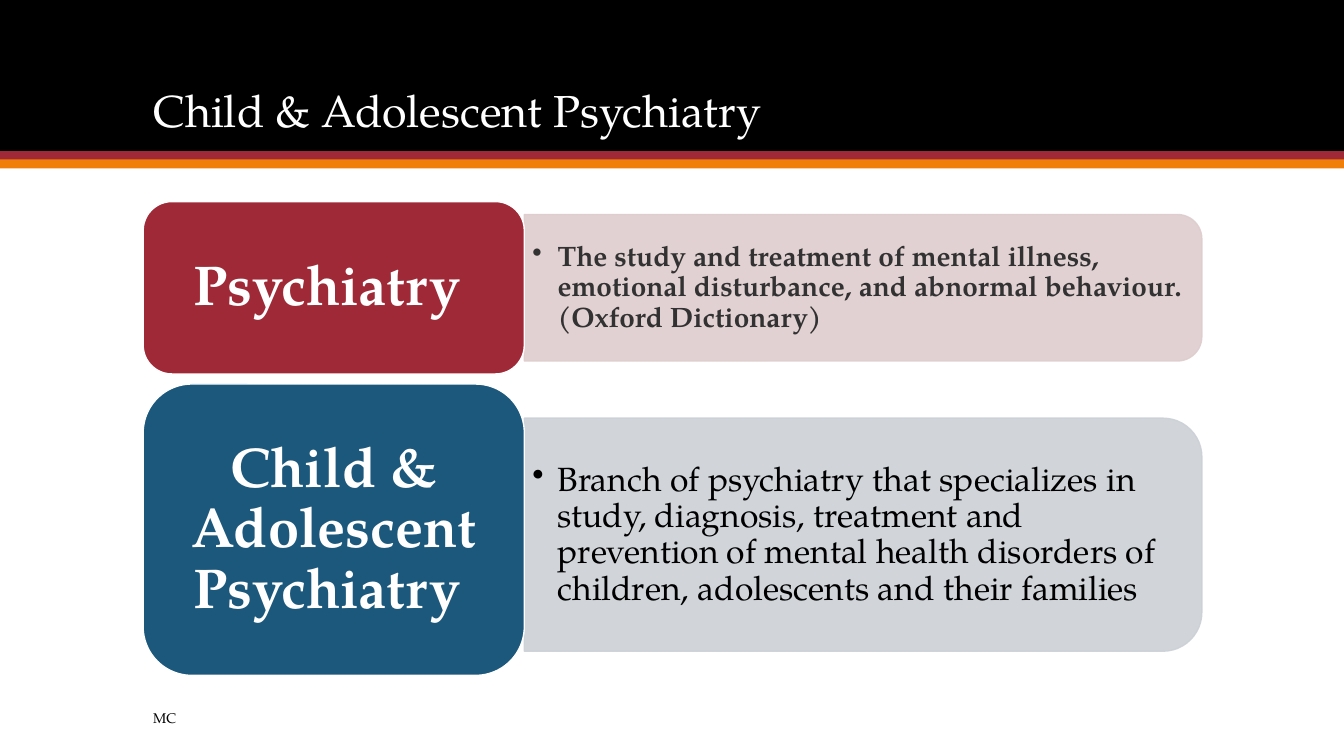
import pptx
import pptx.util
import pptx.dml.color
import pptx.enum.shapes
import pptx.enum.text
import pptx.oxml
from pptx.oxml.ns import qn

W, H = 13.33, 7.5
LEFT, WIDTH = 1.42, 10.5
FONT = "TeX Gyre Pagella"
SHAPE = pptx.enum.shapes.MSO_SHAPE
ALIGN = pptx.enum.text.PP_ALIGN
ANCHOR = pptx.enum.text.MSO_ANCHOR
ROWS = [
    dict(top=2, height=1.71, label="Psychiatry ", label_color="9F2936",
         text="The study and treatment of mental illness, emotional disturbance, "
              "and abnormal behaviour.\v(Oxford Dictionary)",
         panel_color="DFCDCE", share=0.85, shift=0, inset=0.07,
         style=dict(size=20, color="323232", bold=True)),
    dict(top=3.81, height=2.89, label="Child & Adolescent Psychiatry ", label_color="1B587C",
         text="Branch of psychiatry that specializes in study, diagnosis, treatment "
              "and prevention of mental health disorders of children, adolescents "
              "and their families",
         panel_color="CCD1D7", share=0.8, shift=0.05, inset=0.11,
         style=dict(size=24, color="000000")),
]


def rgb(value):
    """Return a colour from a hex string."""
    return pptx.dml.color.RGBColor.from_string(value)


def inches(*values):
    """Return lengths in inches."""
    return [pptx.util.Inches(v) for v in values]


def write(sp, text, size=18, color="000000", bold=False, align=ALIGN.LEFT,
          anchor=ANCHOR.MIDDLE, insets=(0.1, 0.05), spacing=0.9, bullet=False):
    """Write one formatted paragraph into a shape."""
    tf = sp.text_frame
    tf.word_wrap = True
    tf.auto_size = pptx.enum.text.MSO_AUTO_SIZE.NONE
    tf.vertical_anchor = anchor
    tf.margin_left = tf.margin_right = pptx.util.Inches(insets[0])
    tf.margin_top = tf.margin_bottom = pptx.util.Inches(insets[1])
    p = tf.paragraphs[0]
    p.text = text
    p.alignment = align
    p.line_spacing = spacing
    if bullet:
        pPr = p._p.get_or_add_pPr()
        indent = pptx.util.Inches(0.25)
        pPr.set("marL", str(indent))
        pPr.set("indent", str(-indent))
        pptx.oxml.xmlchemy.OxmlElement
        bu = pPr.makeelement(qn("a:buChar"), {"char": "•"})
        pPr.append(bu)
    for r in p.runs:
        r.font.name = FONT
        r.font.size = pptx.util.Pt(size)
        r.font.bold = bold
        r.font.color.rgb = rgb(color)


def add_block(s, kind, box, fill, line=None, alpha=None):
    """Add a filled shape with an optional outline and opacity."""
    sp = s.shapes.add_shape(kind, *inches(*box))
    sp.shadow.inherit = False
    sp.fill.solid()
    sp.fill.fore_color.rgb = rgb(fill)
    if line:
        sp.line.color.rgb = rgb(line)
        sp.line.width = pptx.util.Pt(1)
    else:
        sp.line.fill.background()
    if alpha:
        for clr in sp._element.spPr.iter(qn("a:srgbClr")):
            clr.append(clr.makeelement(qn("a:alpha"), {"val": str(alpha * 1000)}))
    return sp


def add_header(s, title):
    """Add the black band, its two stripes and the title."""
    for top, height, color in [(0, 1.5, "000000"), (1.5, 0.09, "9F2936"), (1.58, 0.09, "F07F09")]:
        add_block(s, SHAPE.RECTANGLE, (0, top, W, height), color)
    sp = s.shapes.title
    s.shapes._spTree.append(sp._element)
    sp.left, sp.top, sp.width, sp.height = inches(LEFT, 0.28, WIDTH, 1.13)
    write(sp, title, size=32, color="FFFFFF", anchor=ANCHOR.BOTTOM)


def add_row(s, left, top, width, height, label, label_color, text, panel_color,
            share, shift, inset, style):
    """Add a term and, to its right, a panel with its definition."""
    label_w = 0.36 * width
    panel_w, panel_h = width - label_w, share * height
    panel_x = left + label_w
    mid_x, mid_y = panel_x + panel_w / 2, top + height / 2 + shift
    panel = add_block(s, SHAPE.ROUND_2_SAME_RECTANGLE,
                      (mid_x - panel_h / 2, mid_y - panel_w / 2, panel_h, panel_w),
                      panel_color, line=panel_color, alpha=90)
    panel.rotation = 90
    tb = s.shapes.add_textbox(*inches(panel_x, mid_y - panel_h / 2 + inset,
                                      panel_w - inset, panel_h - 2 * inset))
    write(tb, text, insets=(0.08, 0.04), bullet=True, **style)
    sp = add_block(s, SHAPE.ROUNDED_RECTANGLE, (left, top, label_w, height),
                   label_color, line="FFFFFF")
    write(sp, label, size=40, color="FFFFFF", bold=True, align=ALIGN.CENTER, insets=(0.17, 0.08))


def add_footer(s, text):
    """Add the footer text."""
    tb = s.shapes.add_textbox(*inches(LEFT, 6.97, 0.65 * WIDTH, 0.3))
    write(tb, text, size=10, spacing=1.0)


def main():
    """Build the slide and save it."""
    prs = pptx.Presentation()
    prs.slide_width, prs.slide_height = inches(W, H)
    s = prs.slides.add_slide(prs.slide_layouts[5])
    add_header(s, "Child & Adolescent Psychiatry")
    for row in ROWS:
        add_row(s, LEFT, width=WIDTH, **row)
    add_footer(s, "MC")
    prs.save("out.pptx")


if __name__ == "__main__":
    main()
